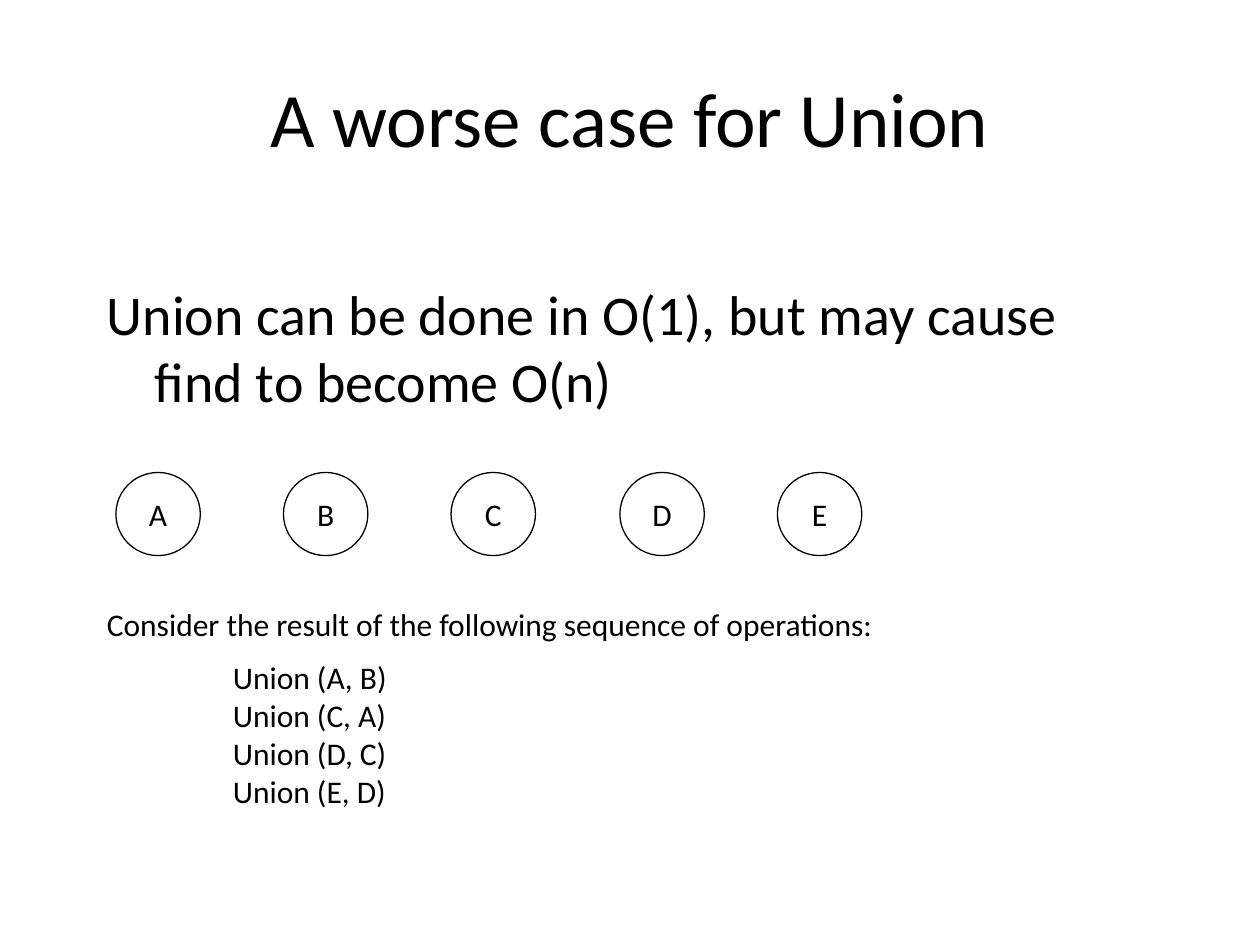
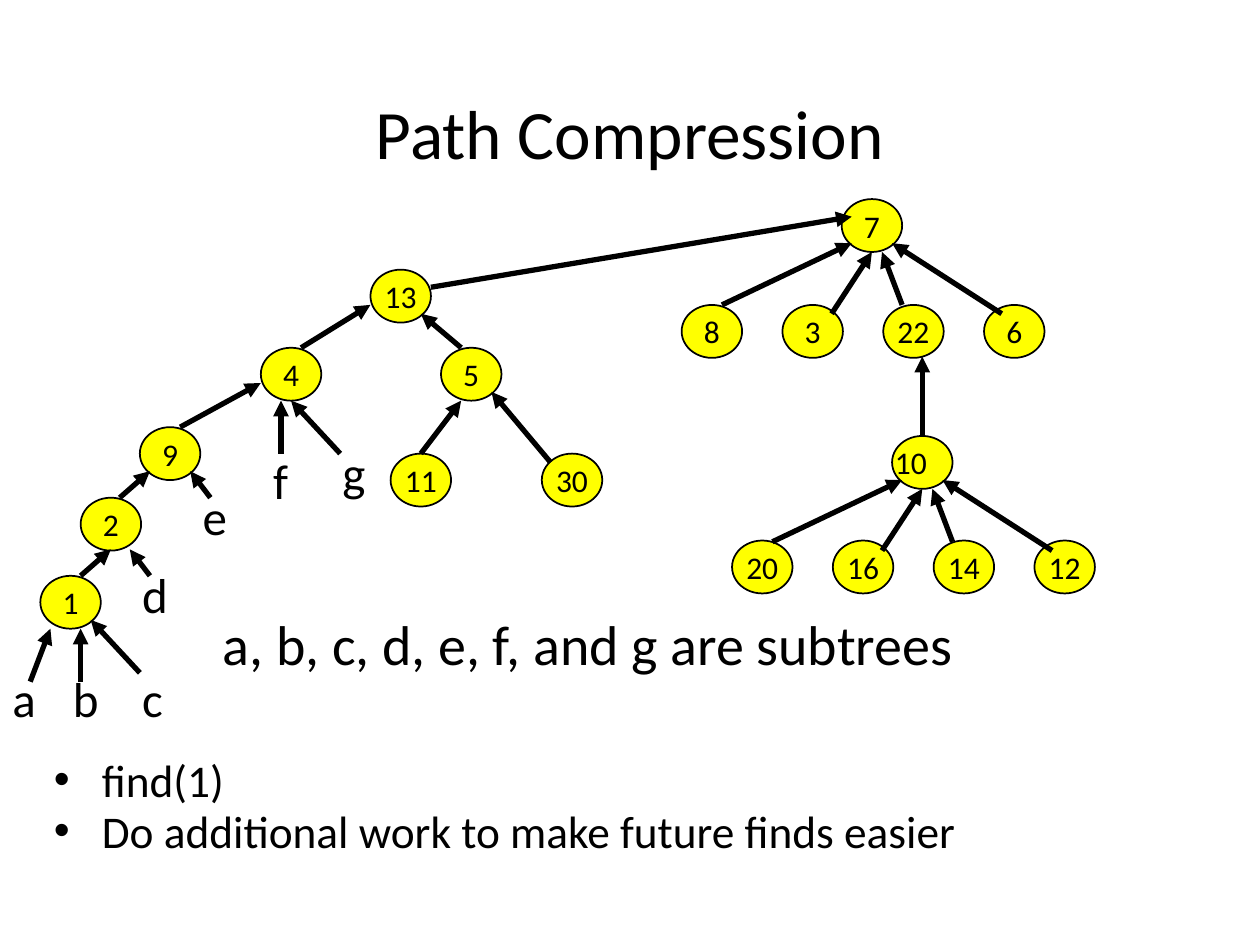
import pptx
import pptx.dml.color
import pptx.enum.shapes
import pptx.enum.text
import pptx.oxml.ns
import pptx.util
from lxml import etree
from pptx.util import Inches

BLACK = pptx.dml.color.RGBColor(0x00, 0x00, 0x00)
YELLOW = pptx.dml.color.RGBColor(0xFF, 0xFF, 0x00)
FONT = "Calibri"
CENTER = pptx.enum.text.PP_ALIGN.CENTER
MIDDLE = pptx.enum.text.MSO_ANCHOR.MIDDLE


class Deck:
    """Holds the shared style and the current slide."""

    def __init__(self):
        self.presentation = pptx.Presentation()
        self.presentation.slide_width = Inches(10)
        self.presentation.slide_height = Inches(7.5)
        self.slide = None

    def new_slide(self):
        self.slide = self.presentation.slides.add_slide(self.presentation.slide_layouts[6])

    def fill_line(self, paragraph, words, size, before=0, spacing=None, margin=0, hanging=0, bullet=None):
        paragraph.space_before = pptx.util.Pt(before)
        if spacing:
            paragraph.line_spacing = spacing
        properties = paragraph._p.get_or_add_pPr()
        properties.set("marL", str(Inches(margin)))
        properties.set("indent", str(-Inches(hanging)))
        if bullet:
            etree.SubElement(properties, pptx.oxml.ns.qn("a:buFont")).set("typeface", "Arial")
            etree.SubElement(properties, pptx.oxml.ns.qn("a:buChar")).set("char", bullet)
        run = paragraph.add_run()
        run.text = words
        run.font.name = FONT
        run.font.size = pptx.util.Pt(size)
        run.font.color.rgb = BLACK

    def text(self, left, top, width, height, lines, size, **style):
        box = self.slide.shapes.add_textbox(Inches(left), Inches(top), Inches(width), Inches(height))
        frame = box.text_frame
        frame.word_wrap = True
        for index, line in enumerate(lines):
            words, own = (line, {}) if isinstance(line, str) else line
            paragraph = frame.add_paragraph() if index else frame.paragraphs[0]
            self.fill_line(paragraph, words, size, **{**style, **own})
        return frame

    def title(self, left, top, width, height, words, size):
        frame = self.text(left, top, width, height, [words], size)
        frame.vertical_anchor = MIDDLE
        frame.paragraphs[0].alignment = CENTER

    def node(self, left, top, width, height, label, line_width, fill=None, right_inset=0):
        ellipse = self.slide.shapes.add_shape(
            pptx.enum.shapes.MSO_SHAPE.OVAL, Inches(left), Inches(top), Inches(width), Inches(height))
        ellipse.shadow.inherit = False
        if fill is None:
            ellipse.fill.background()
        else:
            ellipse.fill.solid()
            ellipse.fill.fore_color.rgb = fill
        ellipse.line.color.rgb = BLACK
        ellipse.line.width = pptx.util.Pt(line_width)
        frame = ellipse.text_frame
        frame.word_wrap = False
        frame.vertical_anchor = MIDDLE
        frame.margin_left = frame.margin_top = frame.margin_bottom = 0
        frame.margin_right = Inches(right_inset)
        frame.paragraphs[0].alignment = CENTER
        self.fill_line(frame.paragraphs[0], label, 18)

    def arrow(self, child, parent):
        edge = self.slide.shapes.add_connector(
            pptx.enum.shapes.MSO_CONNECTOR.STRAIGHT, *map(Inches, child + parent))
        edge.line.color.rgb = BLACK
        edge.line.width = pptx.util.Pt(3)
        outline = edge.line._get_or_add_ln()
        etree.SubElement(outline, pptx.oxml.ns.qn("a:tailEnd")).set("type", "triangle")
        etree.SubElement(edge._element.spPr, pptx.oxml.ns.qn("a:effectLst"))


def worse_case(deck):
    deck.new_slide()
    deck.title(0.5, 0.3, 9, 1.25, "A worse case for Union", 44)
    deck.text(0.75, 2.17, 8.5, 1.25, ["Union can be done in O(1), but may cause find to become O(n)"],
              32, margin=0.38, hanging=0.38)
    for label, left in zip("ABCDE", (0.92, 2.25, 3.58, 4.92, 6.17)):
        deck.node(left, 3.75, 0.67, 0.66, label, 0.75)
    operations = ["Union (A, B)", "Union (C, A)", "Union (D, C)", "Union (E, D)"]
    deck.text(0.75, 4.75, 8.67, 2.3,
              ["Consider the result of the following sequence of operations:"]
              + [(operation, {"margin": 1, "before": 0 if index else 9})
                 for index, operation in enumerate(operations)], 18)


def path_compression(deck):
    deck.new_slide()
    deck.title(0.75, 0.67, 8.5, 0.75, "Path Compression", 39.6)
    deck.text(0.33, 6, 10, 0.92,
              ["find(1)", ("Do additional work to make future finds easier", {"before": 4.5})],
              25.9, spacing=0.8, margin=0.38, hanging=0.38, bullet="•")

    nodes = {"7": (6.68, 1.58), "13": (2.94, 2.14), "4": (2.07, 2.76), "5": (3.5, 2.76),
             "9": (1.11, 3.39), "2": (0.64, 3.95), "1": (0.32, 4.57),
             "11": (3.1, 3.6), "30": (4.3, 3.6), "10": (7.08, 3.46)}
    for start, top, siblings in ((5.41, 2.42, ("8", "3", "22", "6")),
                                 (5.81, 4.29, ("20", "16", "14", "12"))):
        for index, label in enumerate(siblings):
            nodes[label] = (start + 0.8 * index, top)
    for label, (left, top) in nodes.items():
        deck.node(left, top, 0.48, 0.42, label, 1, YELLOW, 0.18 if label == "10" else 0)

    tree_edges = [
        ((3.42, 2.28), (6.76, 1.72)), ((2.39, 2.76), (2.94, 2.42)), ((3.66, 2.76), (3.34, 2.49)),
        ((1.43, 3.39), (2.07, 3.04)), ((0.95, 3.95), (1.19, 3.74)), ((0.64, 4.57), (0.88, 4.36)),
        ((3.34, 3.6), (3.66, 3.18)), ((4.37, 3.67), (3.9, 3.11)), ((7.32, 3.46), (7.32, 2.83))]
    fan_edges = [((5.73, 2.42), (6.76, 1.93)), ((6.6, 2.49), (6.92, 2)),
                 ((7.16, 2.42), (7, 2)), ((7.95, 2.49), (7.08, 1.93))]
    for right, down in ((0, 0), (0.4, 1.88)):
        tree_edges += [tuple((x + right, y + down) for x, y in edge) for edge in fan_edges]
    for child, parent in tree_edges:
        deck.arrow(child, parent)

    subtrees = {
        "a": ((0, 5.26), (0.24, 5.41), (0.4, 4.99)), "b": ((0.48, 5.26), (0.64, 5.41), (0.64, 4.99)),
        "c": ((1.03, 5.26), (1.11, 5.34), (0.72, 4.92)), "d": ((1.03, 4.43), (1.19, 4.57), (1.03, 4.36)),
        "e": ((1.51, 3.81), (1.67, 3.95), (1.51, 3.74)), "f": ((2.07, 3.53), (2.23, 3.6), (2.23, 3.18)),
        "g": ((2.62, 3.46), (2.7, 3.6), (2.31, 3.18))}
    for letter, (corner, child, parent) in subtrees.items():
        deck.text(*corner, 0.56, 0.57, [letter], 28)
        deck.arrow(child, parent)
    deck.text(1.67, 4.85, 6.52, 1.38, ["a, b, c, d, e, f, and g are subtrees"], 32, spacing=0.9)


def main():
    deck = Deck()
    worse_case(deck)
    path_compression(deck)
    deck.presentation.save("out.pptx")


if __name__ == "__main__":
    main()
